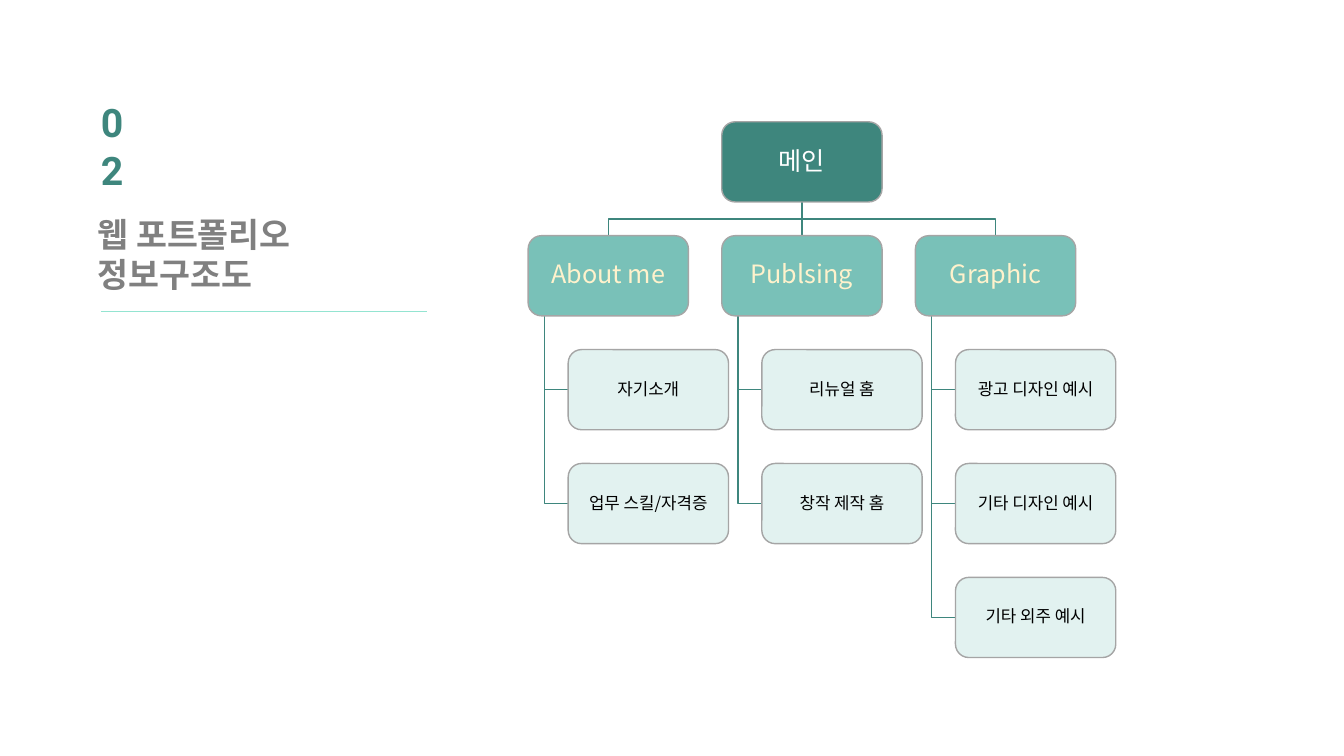
import pptx
import pptx.dml.color
import pptx.enum.shapes
import pptx.enum.text
import pptx.oxml
import pptx.oxml.ns
import pptx.util

Cm = pptx.util.Cm
Pt = pptx.util.Pt
RGBColor = pptx.dml.color.RGBColor
Shape = pptx.enum.shapes.MSO_SHAPE
Anchor = pptx.enum.text.MSO_ANCHOR
Align = pptx.enum.text.PP_ALIGN

DEEP_TEAL = RGBColor(0x3E, 0x86, 0x7D)
TEAL = RGBColor(0x79, 0xC1, 0xB8)
PALE_TEAL = RGBColor(0xE2, 0xF2, 0xF0)
MINT = RGBColor(0x94, 0xE4, 0xD1)
GREY = RGBColor(0x80, 0x80, 0x80)
BORDER_GREY = RGBColor(0xA5, 0xA5, 0xA5)
CREAM = RGBColor(0xFF, 0xF2, 0xCC)
WHITE = RGBColor(0xFF, 0xFF, 0xFF)
BLACK = RGBColor(0, 0, 0)

KOREAN = "Noto Sans CJK KR"
TITLE = {"name": KOREAN, "size": Pt(24), "bold": True, "color": GREY}
NUMBER = {"name": "Roboto", "size": Pt(28), "bold": True, "color": DEEP_TEAL}
ROOT = {"name": KOREAN, "size": Pt(18), "color": WHITE}
BRANCH = {"name": KOREAN, "size": Pt(18), "color": CREAM}
LEAF = {"name": KOREAN, "size": Pt(12), "color": BLACK}

# Site map geometry
NODE_WIDTH, NODE_HEIGHT = Cm(4.04), Cm(2.02)
COLUMN_STEP, ROW_STEP = Cm(4.88), Cm(2.87)
LEAF_INDENT, TRUNK_INDENT = Cm(1.01), Cm(0.41)

SITE_MAP = {
    "About me": ["자기소개", "업무 스킬/자격증"],
    "Publsing": ["리뉴얼 홈", "창작 제작 홈"],
    "Graphic": ["광고 디자인 예시", "기타 디자인 예시", "기타 외주 예시"],
}


def write(para, text, style):
    span = para.add_run()
    span.text = text
    for key, value in style.items():
        if key == "color":
            span.font.color.rgb = value
        else:
            setattr(span.font, key, value)
    # East Asian text takes the same typeface
    east_asian = pptx.oxml.parse_xml(
        f'<a:ea {pptx.oxml.ns.nsdecls("a")} typeface="{style["name"]}"/>')
    span.font._element.find(pptx.oxml.ns.qn("a:latin")).addnext(east_asian)


def set_frame(frame, margin, anchor):
    settings = {"margin_left": margin, "margin_right": margin,
                "margin_top": margin, "margin_bottom": margin,
                "word_wrap": True, "vertical_anchor": anchor}
    for key, value in settings.items():
        setattr(frame, key, value)


def place(shape, left, top, width, height):
    shape.left, shape.top, shape.width, shape.height = left, top, width, height


def add_line(page, start, end, color, width):
    line = page.shapes.add_connector(
        pptx.enum.shapes.MSO_CONNECTOR.STRAIGHT, *start, *end)
    line.line.color.rgb = color
    line.line.width = width
    line._element.spPr.append(
        pptx.oxml.parse_xml(f'<a:effectLst {pptx.oxml.ns.nsdecls("a")}/>'))


def add_elbow(page, start, *corners):
    builder = page.shapes.build_freeform(*start)
    builder.add_line_segments(corners, close=False)
    elbow = builder.convert_to_shape()
    elbow.shadow.inherit = False
    elbow.fill.background()
    elbow.line.color.rgb = DEEP_TEAL
    elbow.line.width = Pt(1)


def add_node(page, left, top, text, kind, fill, style):
    node = page.shapes.add_shape(kind, left, top, NODE_WIDTH, NODE_HEIGHT)
    node.shadow.inherit = False
    node.fill.solid()
    node.fill.fore_color.rgb = fill
    node.line.color.rgb = BORDER_GREY
    node.line.width = Pt(1)
    set_frame(node.text_frame, Cm(0.03), Anchor.MIDDLE)
    para = node.text_frame.paragraphs[0]
    para.alignment = Align.CENTER
    para.line_spacing = 0.9
    para.space_after = int(style["size"] * 0.35)
    write(para, text, style)


def build_heading(page, left, top, width):
    # Section number, stacked by the narrow box
    number = page.shapes.add_textbox(left, top, Cm(1.02), Cm(1.19))
    set_frame(number.text_frame, 0, Anchor.TOP)
    write(number.text_frame.paragraphs[0], "02", NUMBER)

    # Title
    title = page.shapes.title
    place(title, left - Cm(0.08), top + Cm(2.9), width + Cm(0.1), Cm(2.06))
    set_frame(title.text_frame, 0, Anchor.TOP)
    for index, text in enumerate(["웹 포트폴리오", "정보구조도"]):
        para = (title.text_frame.add_paragraph() if index
                else title.text_frame.paragraphs[0])
        para.alignment = Align.LEFT
        para.line_spacing = Pt(28.6)
        write(para, text, TITLE)

    # Rule below the title
    rule_top = top + Cm(5.35)
    add_line(page, (left, rule_top), (left + width, rule_top), MINT, Pt(0.5))


def build_branch(page, left, top, name, leaves):
    trunk = left + TRUNK_INDENT
    leaf_left = left + LEAF_INDENT
    leaf_tops = [top + row * ROW_STEP for row in range(1, len(leaves) + 1)]
    for leaf_top in leaf_tops:
        middle = leaf_top + NODE_HEIGHT // 2
        add_elbow(page, (trunk, top + NODE_HEIGHT), (trunk, middle),
                  (leaf_left, middle))
    add_node(page, left, top, name, Shape.FLOWCHART_ALTERNATE_PROCESS,
             TEAL, BRANCH)
    for leaf_top, text in zip(leaf_tops, leaves):
        add_node(page, leaf_left, leaf_top, text, Shape.ROUNDED_RECTANGLE,
                 PALE_TEAL, LEAF)


def build_site_map(page, left, top):
    root_left = left + COLUMN_STEP
    root_x = root_left + NODE_WIDTH // 2
    root_bottom = top + NODE_HEIGHT
    branch_top = top + ROW_STEP
    bend = (root_bottom + branch_top) // 2

    # Links from the main page, then each branch with its pages
    for column, (name, leaves) in enumerate(SITE_MAP.items()):
        branch_left = left + column * COLUMN_STEP
        branch_x = branch_left + NODE_WIDTH // 2
        if branch_x == root_x:
            add_line(page, (root_x, root_bottom), (root_x, branch_top),
                     DEEP_TEAL, Pt(1))
        else:
            add_elbow(page, (root_x, root_bottom), (root_x, bend),
                      (branch_x, bend), (branch_x, branch_top))
        build_branch(page, branch_left, branch_top, name, leaves)

    add_node(page, root_left, top, "메인", Shape.ROUNDED_RECTANGLE,
             DEEP_TEAL, ROOT)


def main():
    deck = pptx.Presentation()
    deck.slide_width, deck.slide_height = Cm(33.87), Cm(19.05)
    page = deck.slides.add_slide(deck.slide_layouts[5])
    build_heading(page, Cm(2.54), Cm(2.49), Cm(8.22))
    build_site_map(page, Cm(13.31), Cm(3.07))
    deck.save("out.pptx")


if __name__ == "__main__":
    main()
